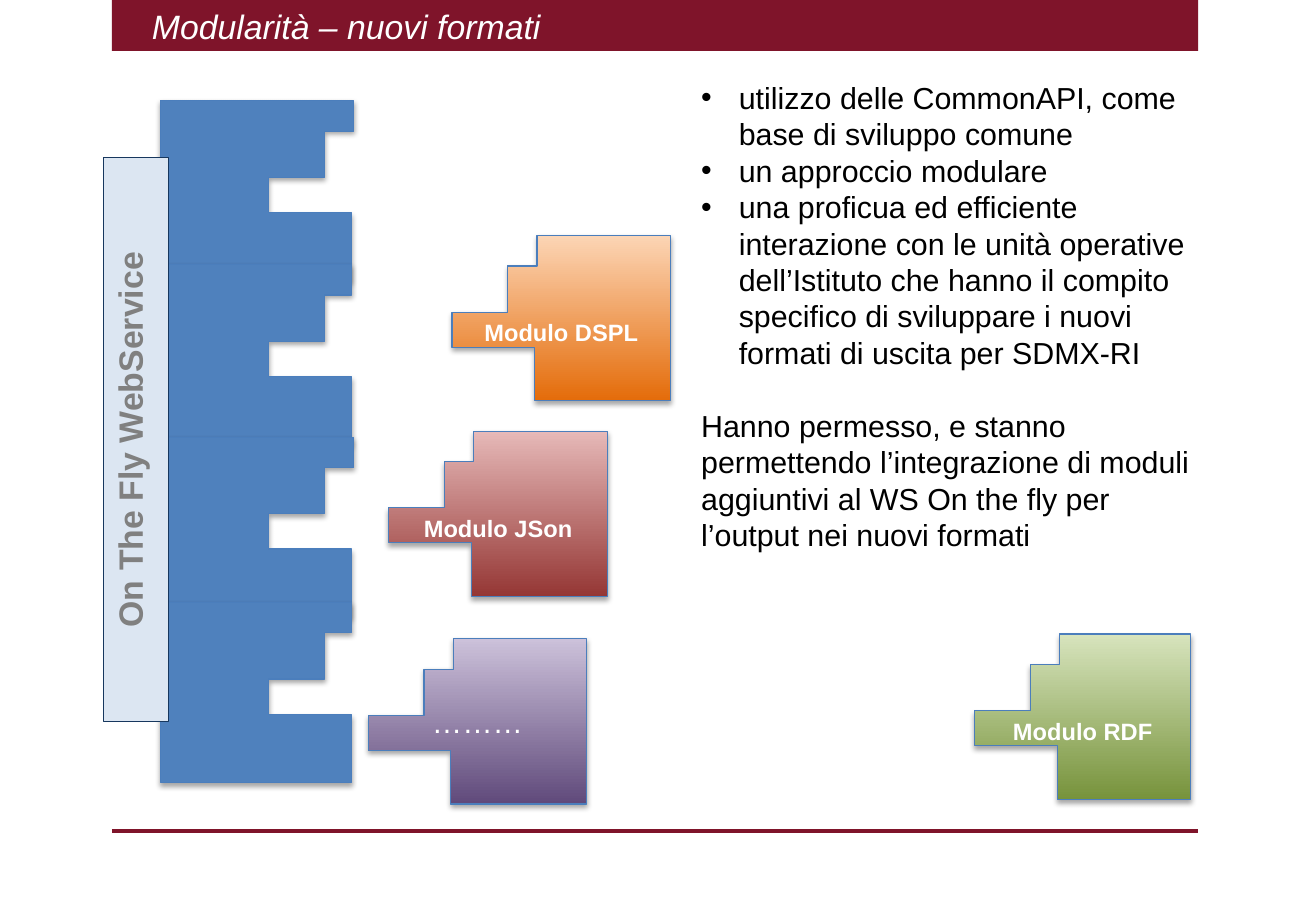
import dataclasses

import pptx
import pptx.dml.color
import pptx.enum.shapes
import pptx.enum.text
import pptx.oxml
import pptx.oxml.ns
import pptx.util
from lxml import etree

ALIGN = pptx.enum.text.PP_ALIGN
ANCHOR = pptx.enum.text.MSO_ANCHOR
RECTANGLE = pptx.enum.shapes.MSO_SHAPE.RECTANGLE
qn = pptx.oxml.ns.qn


@dataclasses.dataclass(frozen=True)
class Theme:
    font: str = "Arial"
    heading: int = 20
    body: int = 18
    label: int = 14
    body_leading: float = 21.6
    hairline: float = 0.75
    rule: float = 2
    brand: str = "7F142A"
    white: str = "FFFFFF"
    black: str = "000000"
    grey: str = "808080"
    socket: str = "4F81BD"
    outline: str = "4B7EBC"
    panel: str = "DCE6F2"
    panel_edge: str = "17375E"
    # Each gradient runs from the bottom colour to the top one
    orange: tuple = ("E46C0A", "FCD5B5")
    red: tuple = ("953735", "E6B9B8")
    purple: tuple = ("604A7B", "CCC1DA")
    green: tuple = ("77933C", "D7E4BD")


def rgb(value):
    return pptx.dml.color.RGBColor.from_string(value)


class Board:
    """Draws on one slide; lengths are columns and rows of a 0.1 inch grid."""

    CELL = pptx.util.Inches(0.1)

    def __init__(self, slide, theme):
        self.slide, self.theme = slide, theme

    def grid(self, *cells):
        return [pptx.util.Emu(round(cell * self.CELL)) for cell in cells]

    def run(self, paragraph, text, size, color, bold=False, italic=False):
        run = paragraph.add_run()
        run.text = text
        run.font.name, run.font.size = self.theme.font, pptx.util.Pt(size)
        run.font.bold, run.font.italic = bold, italic
        run.font.color.rgb = rgb(color)

    def place(self, holder, box):
        holder.left, holder.top, holder.width, holder.height = self.grid(*box)
        frame = holder.text_frame
        frame.word_wrap = True
        frame.auto_size = pptx.enum.text.MSO_AUTO_SIZE.NONE
        frame.vertical_anchor = ANCHOR.TOP
        return frame

    def title(self, text, box):
        heading = self.place(self.slide.shapes.title, box).paragraphs[0]
        heading.alignment = ALIGN.LEFT
        self.run(heading, text, self.theme.heading, self.theme.white, italic=True)

    def body(self, points, conclusion, box):
        frame = self.place(self.slide.placeholders[1], box)
        leading = pptx.util.Pt(self.theme.body_leading)
        for index, text in enumerate([*points, conclusion]):
            paragraph = frame.add_paragraph() if index else frame.paragraphs[0]
            is_point = index < len(points)
            paragraph.line_spacing = leading
            paragraph.space_before = 0 if is_point else leading
            paragraph.alignment = ALIGN.LEFT
            props = paragraph._p.get_or_add_pPr()
            indent = self.grid(3.1)[0] if is_point else 0
            props.set("marL", str(indent))
            props.set("indent", str(-indent))
            if is_point:
                etree.SubElement(props, qn("a:buChar")).set("char", "•")
            else:
                etree.SubElement(props, qn("a:buNone"))
            self.run(paragraph, text, self.theme.body, self.theme.black)

    def rectangle(self, box, fill, edge=None):
        shape = self.slide.shapes.add_shape(RECTANGLE, *self.grid(*box))
        shape.shadow.inherit = False
        shape.fill.solid()
        shape.fill.fore_color.rgb = rgb(fill)
        if edge:
            shape.line.color.rgb = rgb(edge)
            shape.line.width = pptx.util.Pt(self.theme.hairline)
        else:
            shape.line.fill.background()
        return shape

    def header_bar(self, box):
        bar = self.rectangle(box, self.theme.brand)
        self.slide.shapes._spTree.insert(2, bar._element)  # behind the title

    def rule(self, left, right, row):
        line = self.slide.shapes.add_connector(
            pptx.enum.shapes.MSO_CONNECTOR.STRAIGHT, *self.grid(left, row, right, row))
        line.line.color.rgb = rgb(self.theme.brand)
        line.line.width = pptx.util.Pt(self.theme.rule)
        etree.SubElement(line._element.spPr, qn("a:effectLst"))

    def piece(self, left, top, outline):
        points = [self.grid(left + x, top + y) for x, y in outline]
        builder = self.slide.shapes.build_freeform(*points[0])
        builder.add_line_segments(points[1:], close=True)
        shape = builder.convert_to_shape()
        shape.line.color.rgb = rgb(self.theme.outline)
        shape.line.width = pptx.util.Pt(self.theme.hairline)
        shape.shadow.inherit = False
        effects = shape._element.spPr.find(qn("a:effectLst"))
        effects.append(pptx.oxml.parse_xml(
            f'<a:outerShdw {pptx.oxml.ns.nsdecls("a")} blurRad="40000" dist="23000" '
            f'dir="5400000" rotWithShape="0"><a:srgbClr val="{self.theme.black}">'
            '<a:alpha val="35000"/></a:srgbClr></a:outerShdw>'))
        return shape

    def socket(self, top, lip):
        outline = [(0, 0), (lip, 0), (lip, 2.5), (13.5, 2.5), (13.5, 6.3), (8.9, 6.3),
                   (8.9, 9.2), (15.7, 9.2), (15.7, 14.8), (0, 14.8)]
        shape = self.piece(13.2, top, outline)
        shape.fill.solid()
        shape.fill.fore_color.rgb = rgb(self.theme.socket)

    def module(self, left, top, width, gradient, label, named=True):
        outline = [(7, 0), (7, 2.5), (4.6, 2.5), (4.6, 6.3), (0, 6.3), (0, 9.2),
                   (6.8, 9.2), (6.8, 13.6), (width, 13.6), (width, 0)]
        shape = self.piece(left, top, outline)
        shape.fill.gradient()
        shape.fill.gradient_angle = 90
        for stop, color in zip(shape.fill.gradient_stops, gradient):
            stop.color.rgb = rgb(color)
        frame = shape.text_frame
        frame.word_wrap = True
        frame.vertical_anchor = ANCHOR.MIDDLE
        if named:
            frame.margin_top = self.grid(2.8)[0]  # names sit below the middle
        frame.paragraphs[0].alignment = ALIGN.CENTER
        size = self.theme.label if named else self.theme.body
        self.run(frame.paragraphs[0], label, size, self.theme.white, bold=named)

    def service(self, text, box):
        frame = self.rectangle(box, self.theme.panel, self.theme.panel_edge).text_frame
        frame.word_wrap = True
        frame.vertical_anchor = ANCHOR.TOP
        frame._txBody.bodyPr.set("vert", "vert270")
        frame.paragraphs[0].alignment = ALIGN.CENTER
        self.run(frame.paragraphs[0], text, self.theme.heading, self.theme.grey, bold=True)


def main():
    deck = pptx.Presentation()
    deck.slide_width, deck.slide_height = pptx.util.Inches(10.83), pptx.util.Inches(7.5)
    theme = Theme()
    board = Board(deck.slides.add_slide(deck.slide_layouts[1]), theme)

    # Header and footer
    board.header_bar((9.2, 0, 89.4, 4.2))
    board.title("Modularità – nuovi formati", (11.5, 0, 73.1, 3.8))
    board.rule(9.2, 98.6, 68.4)

    # Explanation
    board.body(
        ["utilizzo delle CommonAPI, come base di sviluppo comune",
         "un approccio modulare",
         "una proficua ed efficiente interazione con le unità operative dell’Istituto "
         "che hanno il compito specifico di sviluppare i nuovi formati di uscita per SDMX-RI"],
        "Hanno permesso, e stanno permettendo l’integrazione di moduli aggiuntivi "
        "al WS On the fly per l’output nei nuovi formati",
        (56.7, 6, 43.4, 40.4))

    # Sockets of the web service
    for top, lip in ((8.3, 15.9), (21.8, 15.7), (36, 15.9), (49.6, 15.7)):
        board.socket(top, lip)

    # Modules that plug in
    board.module(80.2, 52.2, 17.8, theme.green, "Modulo RDF")
    board.module(37.2, 19.4, 18, theme.orange, "Modulo DSPL")
    board.module(32, 35.5, 18, theme.red, "Modulo JSon")
    board.module(30.3, 52.6, 18, theme.purple, "………", named=False)

    # Web service panel
    board.service("On The Fly WebService", (8.5, 13, 5.4, 46.4))

    deck.save("out.pptx")


if __name__ == "__main__":
    main()
